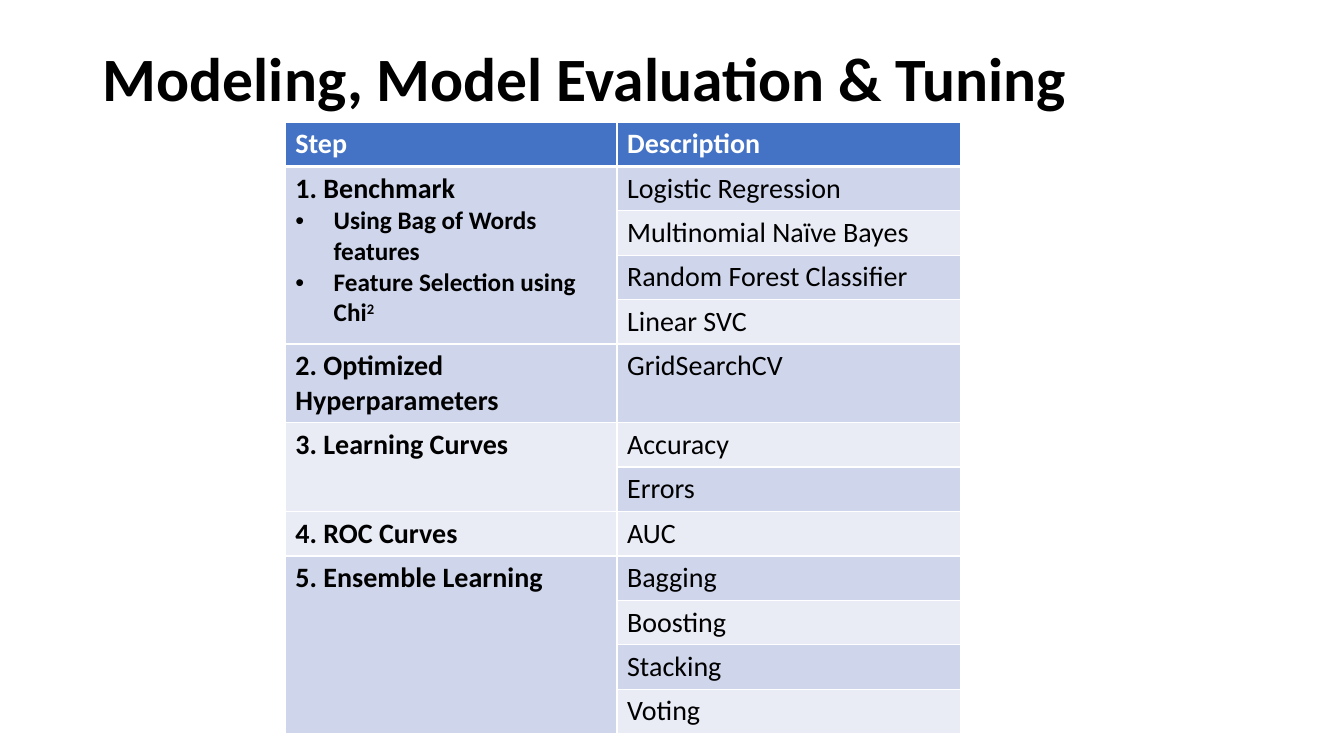
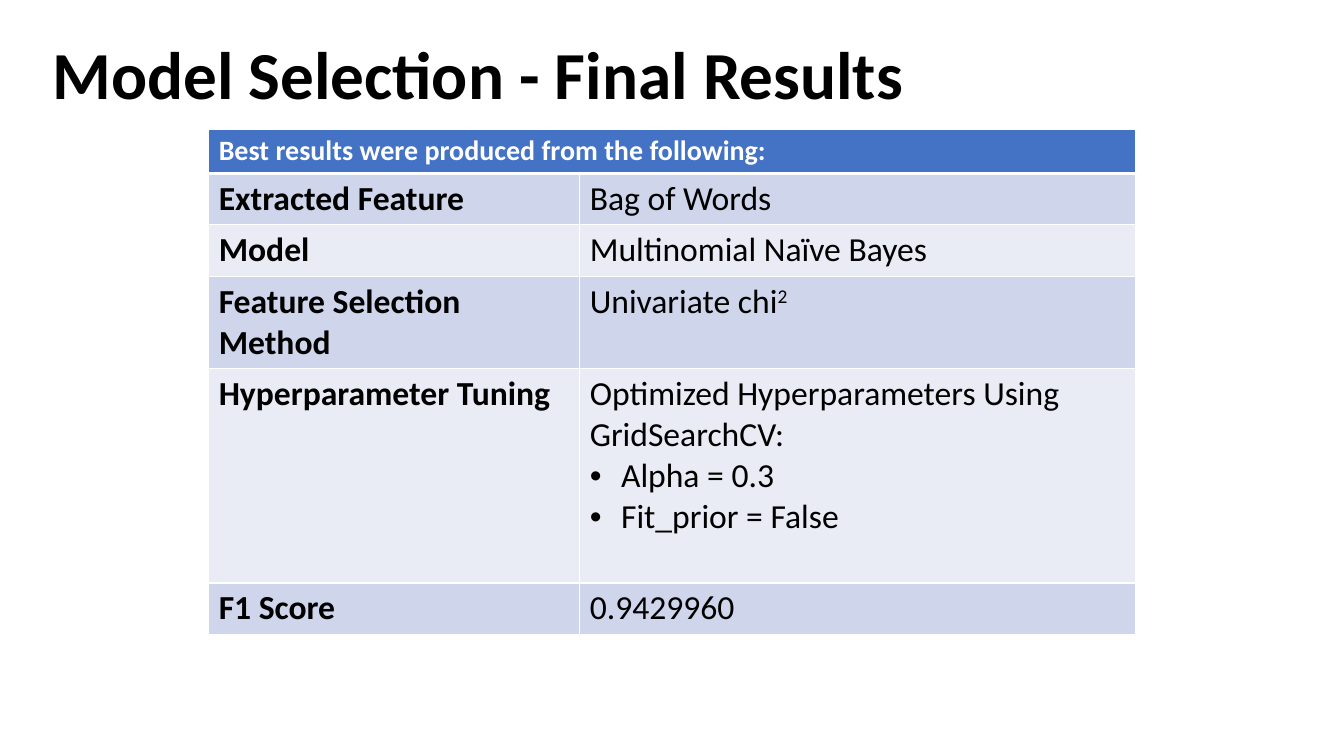
from dataclasses import dataclass

from lxml import etree
from pptx import Presentation
from pptx.dml.color import RGBColor
from pptx.enum import text
from pptx.oxml import ns
from pptx.util import Inches, Pt

FONT = "Calibri"
COLORS = {
    "text": "000000",
    "header": "4472C4",
    "header_text": "FFFFFF",
    "border": "FFFFFF",
    "band_dark": "CFD5EA",
    "band_light": "E9EBF5",
}
TITLE_ONLY_LAYOUT = 5


@dataclass
class Line:
    """One paragraph of a cell; size and indent override the table defaults."""
    words: str
    superscript: str = ""
    size: int = 0
    bullet_indent: float = 0


MODELING_ROWS = [
    ["Step", "Description"],
    [
        [
            Line("1. Benchmark"),
            Line("Using Bag of Words features", size=18, bullet_indent=0.38),
            Line("Feature Selection using Chi", "2", size=18, bullet_indent=0.38),
        ],
        "Logistic Regression",
    ],
    ["", "Multinomial Naïve Bayes"],
    ["", "Random Forest Classifier"],
    ["", "Linear SVC"],
    ["2. Optimized Hyperparameters", "GridSearchCV"],
    ["3. Learning Curves", "Accuracy"],
    ["", "Errors"],
    ["4. ROC Curves", "AUC"],
    ["5. Ensemble Learning", "Bagging"],
    ["", "Boosting"],
    ["", "Stacking"],
    ["", "Voting"],
]

RESULT_ROWS = [
    ["Best results were produced from the following:", ""],
    ["Extracted Feature", "Bag of Words"],
    ["Model", "Multinomial Naïve Bayes"],
    ["Feature Selection Method", [Line("Univariate chi", "2")]],
    [
        "Hyperparameter Tuning",
        [
            Line("Optimized Hyperparameters Using GridSearchCV:"),
            Line("Alpha = 0.3", bullet_indent=0.31),
            Line("Fit_prior = False", bullet_indent=0.31),
        ],
    ],
    ["F1 Score", "0.9429960"],
]


def color(name):
    return RGBColor.from_string(COLORS[name])


def add_run(paragraph, words, size, bold, color_name):
    run = paragraph.add_run()
    run.text = words
    run.font.name = FONT
    run.font.size = Pt(size)
    run.font.bold = bold
    run.font.color.rgb = color(color_name)
    return run


def add_title_slide(presentation, title, box, size):
    slide = presentation.slides.add_slide(presentation.slide_layouts[TITLE_ONLY_LAYOUT])
    shape = slide.shapes.title
    shape.left, shape.top, shape.width, shape.height = map(Inches, box)
    frame = shape.text_frame
    frame.word_wrap = True
    frame.auto_size = text.MSO_AUTO_SIZE.NONE
    frame.vertical_anchor = text.MSO_ANCHOR.MIDDLE
    paragraph = frame.paragraphs[0]
    paragraph.alignment = text.PP_ALIGN.LEFT
    paragraph.line_spacing = 0.9
    add_run(paragraph, title, size, True, "text")
    return slide


def add_bullet(paragraph, indent):
    properties = paragraph._p.get_or_add_pPr()
    properties.set("marL", str(Inches(indent)))
    properties.set("indent", str(-Inches(indent)))
    etree.SubElement(properties, ns.qn("a:buFont"), typeface="Arial")
    etree.SubElement(properties, ns.qn("a:buChar"), char="•")


def set_borders(cell, top, bottom):
    """Draw all four borders; top and bottom are widths in points."""
    properties = cell._tc.get_or_add_tcPr()
    for side, width in (("lnL", 1), ("lnR", 1), ("lnT", top), ("lnB", bottom)):
        line = etree.SubElement(properties, ns.qn(f"a:{side}"), w=str(Pt(width)))
        fill = etree.SubElement(line, ns.qn("a:solidFill"))
        etree.SubElement(fill, ns.qn("a:srgbClr"), val=COLORS["border"])


def fill_cell(cell, content, size, bold, color_name):
    lines = [Line(content)] if isinstance(content, str) else content
    frame = cell.text_frame
    for index, line in enumerate(lines):
        paragraph = frame.add_paragraph() if index else frame.paragraphs[0]
        if line.bullet_indent:
            add_bullet(paragraph, line.bullet_indent)
        style = (line.size or size, bold, color_name)
        if line.words:
            add_run(paragraph, line.words, *style)
        if line.superscript:
            run = add_run(paragraph, line.superscript, *style)
            run._r.get_or_add_rPr().set("baseline", "30000")


def add_banded_table(slide, rows, position, widths, heights, size, merges):
    """Add a table with a header row; merges are pairs of (row, column) corners."""
    left, top = position
    table = slide.shapes.add_table(
        len(rows), len(widths), Inches(left), Inches(top),
        Inches(sum(widths)), Inches(sum(heights)),
    ).table
    for column, width in zip(table.columns, widths):
        column.width = Inches(width)
    for row, height in zip(table.rows, heights):
        row.height = Inches(height)

    for row_index, row in enumerate(rows):
        is_header = row_index == 0
        band = "header" if is_header else ("band_light", "band_dark")[row_index % 2]
        for column_index, content in enumerate(row):
            cell = table.cell(row_index, column_index)
            set_borders(cell, 3 if row_index == 1 else 1, 3 if is_header else 1)
            cell.fill.solid()
            cell.fill.fore_color.rgb = color(band)
            fill_cell(
                cell, content,
                20 if is_header else size,
                is_header or column_index == 0,
                "header_text" if is_header else "text",
            )
    for first, last in merges:
        table.cell(*first).merge(table.cell(*last))


def main():
    presentation = Presentation()
    presentation.slide_width = Inches(13.33)
    presentation.slide_height = Inches(7.5)

    modeling = add_title_slide(
        presentation, "Modeling, Model Evaluation & Tuning", (0.92, 0.4, 11.5, 0.82), 44)
    add_banded_table(
        modeling, MODELING_ROWS, (2.83, 1.21), (3.29, 3.41),
        [0.44] * 5 + [0.78] + [0.44] * 7, 20,
        [((1, 0), (4, 0)), ((6, 0), (7, 0)), ((9, 0), (12, 0))],
    )

    results = add_title_slide(
        presentation, "Model Selection - Final Results", (0.42, 0.34, 11.98, 0.87), 48)
    add_banded_table(
        results, RESULT_ROWS, (2.07, 1.28), (3.68, 5.51),
        [0.44, 0.51, 0.51, 0.91, 2.13, 0.51], 24,
        [((0, 0), (0, 1))],
    )

    presentation.save("out.pptx")


if __name__ == "__main__":
    main()
